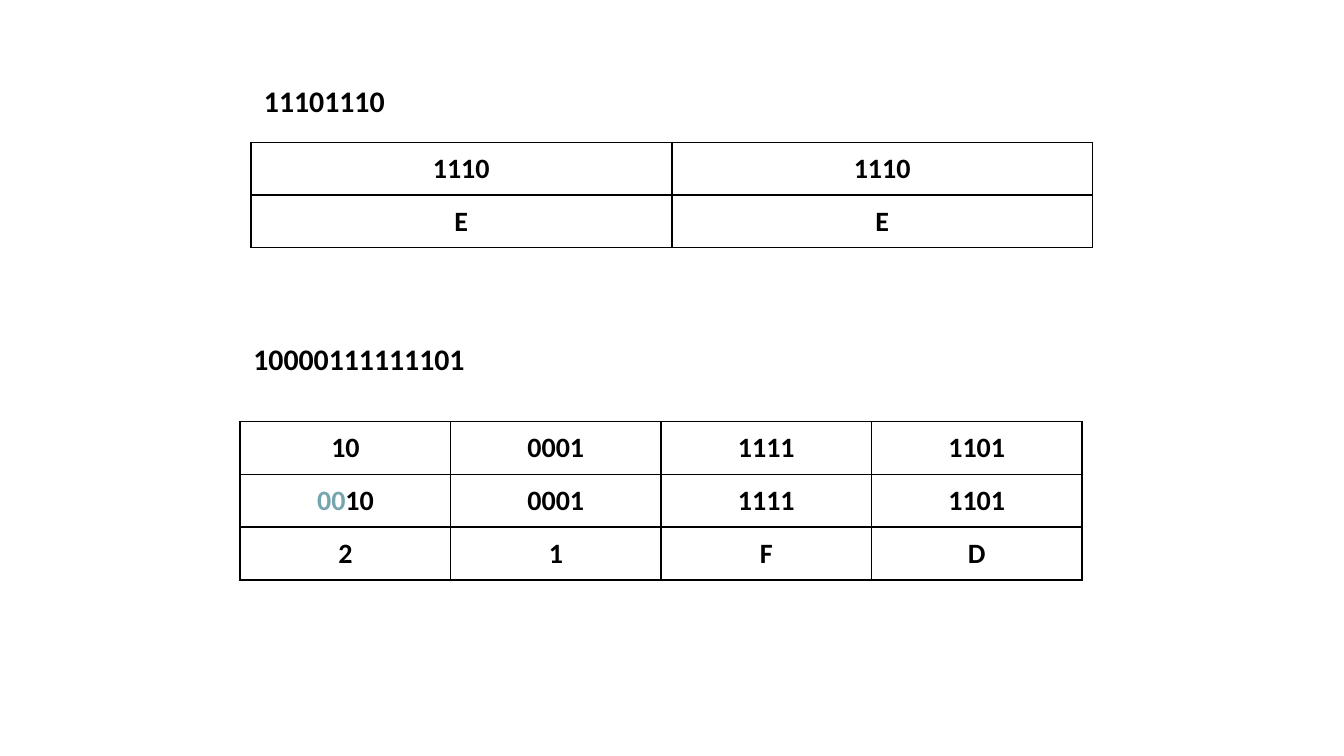
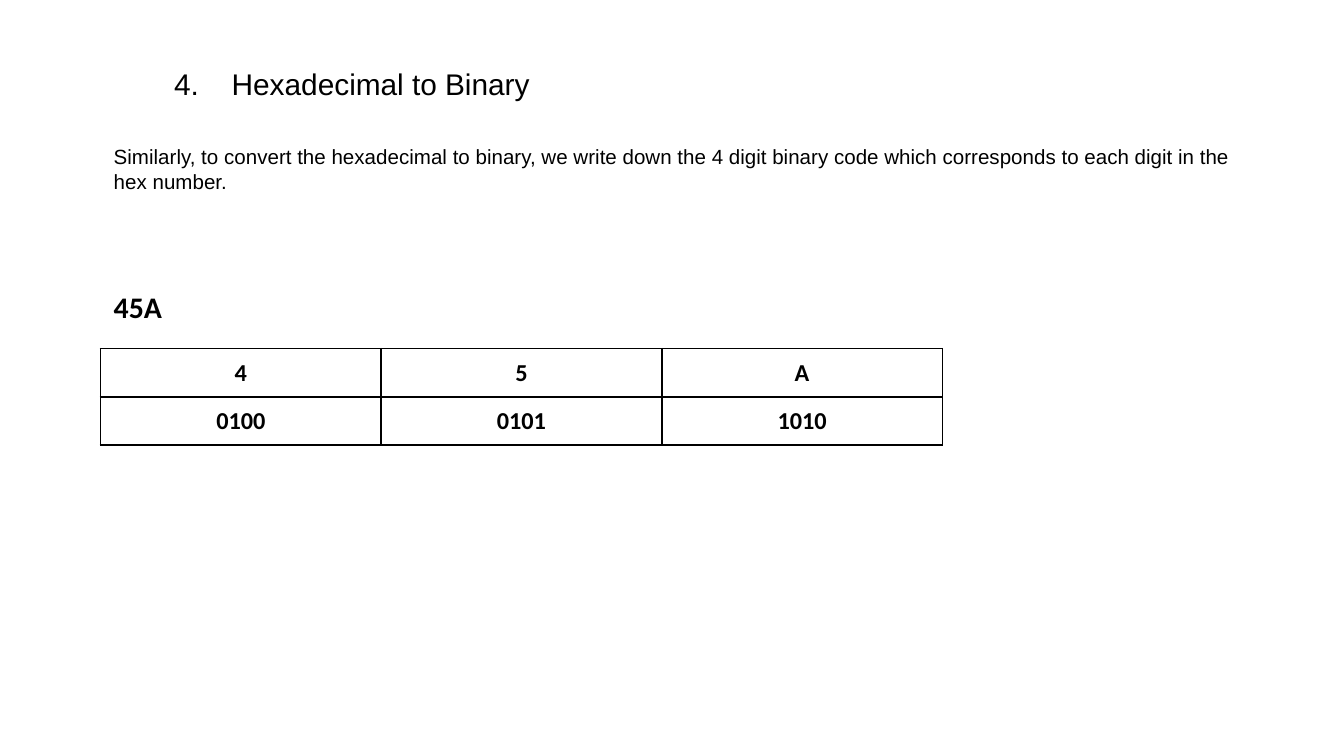
"""Builds two slides on converting between binary and hexadecimal."""
from lxml import etree
from pptx import Presentation
from pptx.dml.color import RGBColor
from pptx.enum.text import MSO_ANCHOR, PP_ALIGN
from pptx.oxml.ns import qn
from pptx.util import Cm, Pt

BLACK = RGBColor(0x00, 0x00, 0x00)
TEAL = RGBColor(0x76, 0xA5, 0xAF)
CENTER, TOP = PP_ALIGN.CENTER, MSO_ANCHOR.TOP
TABLE_WIDTH = 15.91
MIN_ROW_HEIGHT = Cm(0.03)
FRAME_SIZE = Cm(8.33)
TEXT_INSET = Cm(0.25)
CELL_INSET = Cm(0.18)


def add_run(p, text, font, size, bold=False, color=BLACK):
    r = p.add_run()
    r.text = text
    r.font.name = font
    r.font.size = Pt(size)
    r.font.bold = bold
    r.font.color.rgb = color


def add_text(s, box, text, font, size, bold=False):
    tf = s.shapes.add_textbox(*[Cm(v) for v in box]).text_frame
    tf.word_wrap = True
    tf.margin_left = tf.margin_right = TEXT_INSET
    tf.margin_top = tf.margin_bottom = TEXT_INSET
    p = tf.paragraphs[0]
    add_run(p, text, font, size, bold)
    return p


prs = Presentation()
prs.slide_width, prs.slide_height = Cm(25.4), Cm(14.29)
blank = prs.slide_layouts[6]
to_hex = prs.slides.add_slide(blank)
to_binary = prs.slides.add_slide(blank)

p = add_text(to_binary, (2.54, 1.0, 8.33, 1.19), "4.\tHexadecimal to Binary", "Arial", 16)
pPr = p._p.get_or_add_pPr()
pPr.set("marL", str(Cm(1.59)))
pPr.set("indent", str(-Cm(1.09)))
add_text(
    to_binary, (1.9, 2.47, 21.92, 1.45),
    "Similarly, to convert the hexadecimal to binary, we write down the 4 digit "
    "binary code which corresponds to each digit in the hex number.",
    "Arial", 11,
)

examples = [
    (to_hex, "11101110", (4.74, 1.32, 8.33, 1.19), 2.69, 15,
     [["1110", "1110"], ["E", "E"]]),
    (to_hex, "10000111111101", (4.54, 6.19, 8.33, 1.19), 7.97, 15,
     [["10", "0001", "1111", "1101"],
      [("00", "10"), "0001", "1111", "1101"],
      ["2", "1", "F", "D"]]),
    (to_binary, "45A", (1.9, 5.21, 1.98, 1.19), 6.59, 13,
     [["4", "5", "A"], ["0100", "0101", "1010"]]),
]

for s, number, box, top, size, rows in examples:
    add_text(s, box, number, "Calibri", 16, True)
    frame = s.shapes.add_table(
        len(rows), len(rows[0]), Cm(box[0]), Cm(top),
        Cm(TABLE_WIDTH), MIN_ROW_HEIGHT * len(rows),
    )
    frame.width = frame.height = FRAME_SIZE
    table = frame.table
    table.first_row = table.horz_banding = False
    for i, row in enumerate(rows):
        for j, value in enumerate(row):
            cell = table.cell(i, j)
            cell.fill.background()
            cell.vertical_anchor = TOP
            cell.margin_left = cell.margin_right = CELL_INSET
            cell.margin_top = cell.margin_bottom = CELL_INSET
            p = cell.text_frame.paragraphs[0]
            p.alignment = CENTER
            padding, digits = value if isinstance(value, tuple) else ("", value)
            if padding:
                add_run(p, padding, "Calibri", size, True, TEAL)
            add_run(p, digits, "Calibri", size, True)
            tcPr = cell._tc.get_or_add_tcPr()
            for k, side in enumerate(("a:lnL", "a:lnR", "a:lnT", "a:lnB")):
                ln = etree.Element(qn(side), w=str(Pt(1)))
                fill = etree.SubElement(ln, qn("a:solidFill"))
                etree.SubElement(fill, qn("a:srgbClr"), val=str(BLACK))
                tcPr.insert(k, ln)

prs.save("out.pptx")
